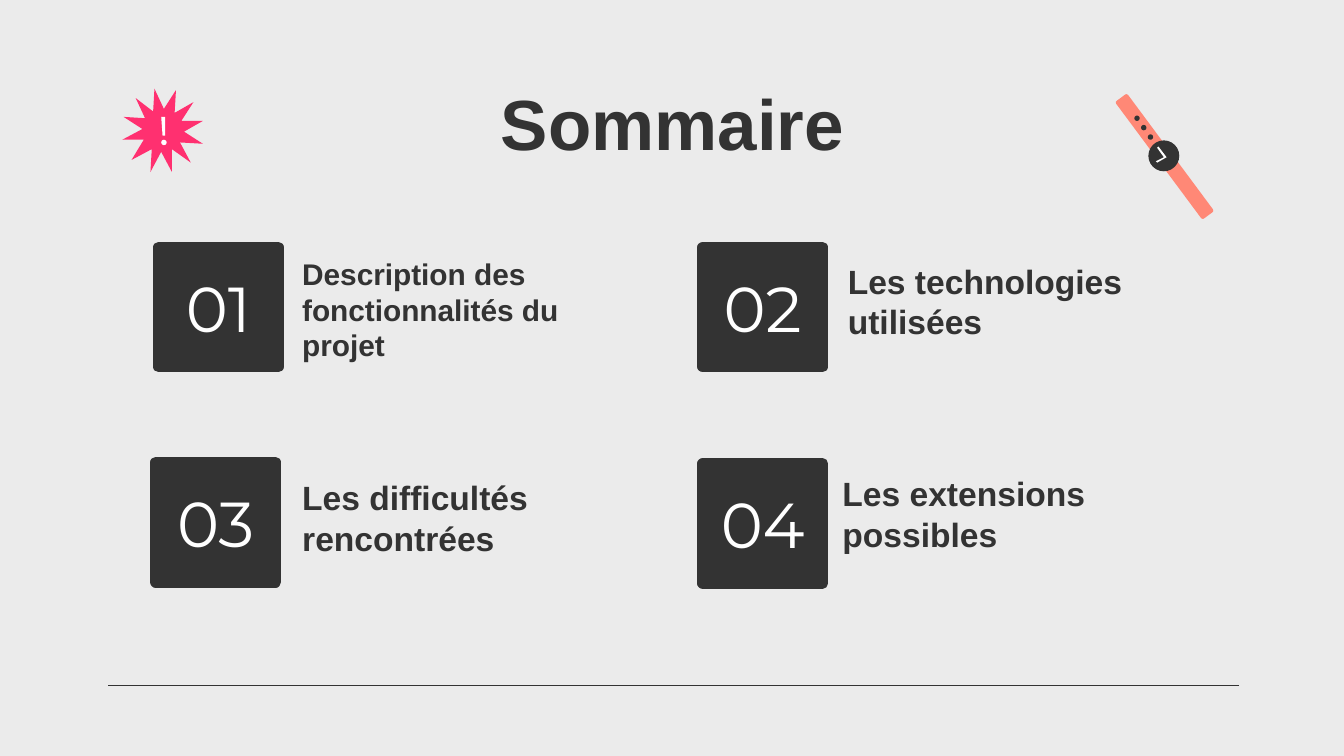
from lxml import etree
from pptx import Presentation
from pptx import util as u
from pptx.dml import color
from pptx.enum import shapes, text
from pptx.oxml import ns

HUES = {"back": "EBEBEB", "dark": "333333", "white": "FFFFFF",
        "coral": "FF8876", "pink": "FF3070"}
INK = {name: color.RGBColor.from_string(code) for name, code in HUES.items()}
KIND = shapes.MSO_SHAPE

# Slide in 16:9
deck = Presentation()
deck.slide_width = u.Inches(10)
deck.slide_height = u.Inches(10) * 9 // 16
slide = deck.slides.add_slide(deck.slide_layouts[6])
slide.background.fill.solid()
slide.background.fill.fore_color.rgb = INK["back"]
items = slide.shapes


def paint(shape, hue):
    """Give a shape a plain fill with no line or shadow."""
    shape.shadow.inherit = False
    shape.fill.solid()
    shape.fill.fore_color.rgb = INK[hue]
    shape.line.fill.background()
    return shape


def write(shape, words, size, font="Arial", hue="dark", bold=True,
          align=text.PP_ALIGN.LEFT, anchor=text.MSO_ANCHOR.TOP):
    """Put one styled paragraph into a shape."""
    frame = shape.text_frame
    frame.word_wrap = True
    frame.vertical_anchor = anchor
    frame.margin_left = frame.margin_right = u.Inches(0.1)
    frame.margin_top = frame.margin_bottom = u.Inches(0.1)
    para = frame.paragraphs[0]
    para.alignment, para.line_spacing = align, 1.0
    run = para.add_run()
    run.text = words
    run.font.name, run.font.size, run.font.bold = font, u.Pt(size), bold
    run.font.color.rgb = INK[hue]


# Bottom rule
rule = items.add_connector(shapes.MSO_CONNECTOR.STRAIGHT, u.Inches(9.22),
                           u.Inches(5.1), u.Inches(0.8), u.Inches(5.1))
rule.line.color.rgb = INK["dark"]
rule.line.width = u.Pt(0.75)
etree.SubElement(rule._element.spPr, ns.qn("a:effectLst"))

# Title
title = items.add_textbox(u.Inches(0.79), u.Inches(0.49),
                          u.Inches(8.43), u.Inches(0.63))
write(title, "Sommaire", 38, align=text.PP_ALIGN.CENTER)

# Numbered topics: tile left, tile top, text left, top, height, size, words
topics = [
    (1.18, 1.84, 2.15, 1.8, 1.02, 16, "Description des fonctionnalités du projet"),
    (5.23, 1.84, 6.21, 1.84, 0.89, 18, "Les technologies utilisées"),
    (1.16, 3.44, 2.15, 3.45, 0.89, 18, "Les difficultés rencontrées"),
    (5.23, 3.45, 6.17, 3.42, 0.92, 18, "Les extensions possibles"),
]
for num, (left, top, col, row, high, size, words) in enumerate(topics, 1):
    tile = paint(items.add_shape(KIND.RECTANGLE, u.Inches(left), u.Inches(top),
                                 u.Inches(0.89), u.Inches(0.89)), "dark")
    tile.line.color.rgb = INK["dark"]
    tile.line.width = u.Pt(6)
    write(tile, f"{num:02}", 34, "Montserrat", "white", False,
          text.PP_ALIGN.CENTER, text.MSO_ANCHOR.MIDDLE)
    label = items.add_textbox(u.Inches(col), u.Inches(row),
                              u.Inches(2.61), u.Inches(high))
    write(label, words, size)

# Watch strap
strap = paint(items.add_shape(KIND.ROUNDED_RECTANGLE, u.Inches(8.12), u.Inches(1.11),
                              u.Inches(1.09), u.Inches(0.11)), "coral")
strap.rotation = 53.4
strap.adjustments[0] = 0.15

# Burst and the stroke of its warning mark
burst = [(1.15, 0.66), (1.14, 0.83), (1.01, 0.73), (1.08, 0.88), (0.92, 0.87),
         (1.06, 0.96), (0.91, 1.04), (1.07, 1.04), (0.98, 1.19), (1.13, 1.11),
         (1.12, 1.28), (1.2, 1.13), (1.28, 1.28), (1.28, 1.11), (1.42, 1.21),
         (1.34, 1.06), (1.51, 1.07), (1.37, 0.98), (1.51, 0.9), (1.35, 0.9),
         (1.44, 0.76), (1.3, 0.84), (1.31, 0.67), (1.22, 0.81)]
stroke = [(1.2, 0.87), (1.21, 1.01), (1.23, 1.01), (1.23, 0.87)]

# Watch face, dot of the warning mark and strap holes: centre, size, hue
dots = [(8.66, 1.16, 0.23, "dark"), (1.22, 1.06, 0.04, "white")]
dots += [(8.46 + 0.05 * i, 0.88 + 0.07 * i, 0.04, "dark") for i in range(3)]

# Watch hands as a thin bent outline
hands = [(8.62, 1.09), (8.68, 1.17), (8.61, 1.21), (8.6, 1.2), (8.66, 1.17),
         (8.61, 1.1)]

for x, y, size, hue in dots[:1] + dots[2:]:
    paint(items.add_shape(KIND.OVAL, u.Inches(x - size / 2), u.Inches(y - size / 2),
                          u.Inches(size), u.Inches(size)), hue)

for points, hue in [(hands, "white"), (burst, "pink"), (stroke, "white")]:
    spots = [(u.Inches(x), u.Inches(y)) for x, y in points]
    pen = items.build_freeform(*spots[0])
    pen.add_line_segments(spots[1:], close=True)
    paint(pen.convert_to_shape(), hue)

x, y, size, hue = dots[1]
paint(items.add_shape(KIND.OVAL, u.Inches(x - size / 2), u.Inches(y - size / 2),
                      u.Inches(size), u.Inches(size)), hue)

deck.save("out.pptx")
